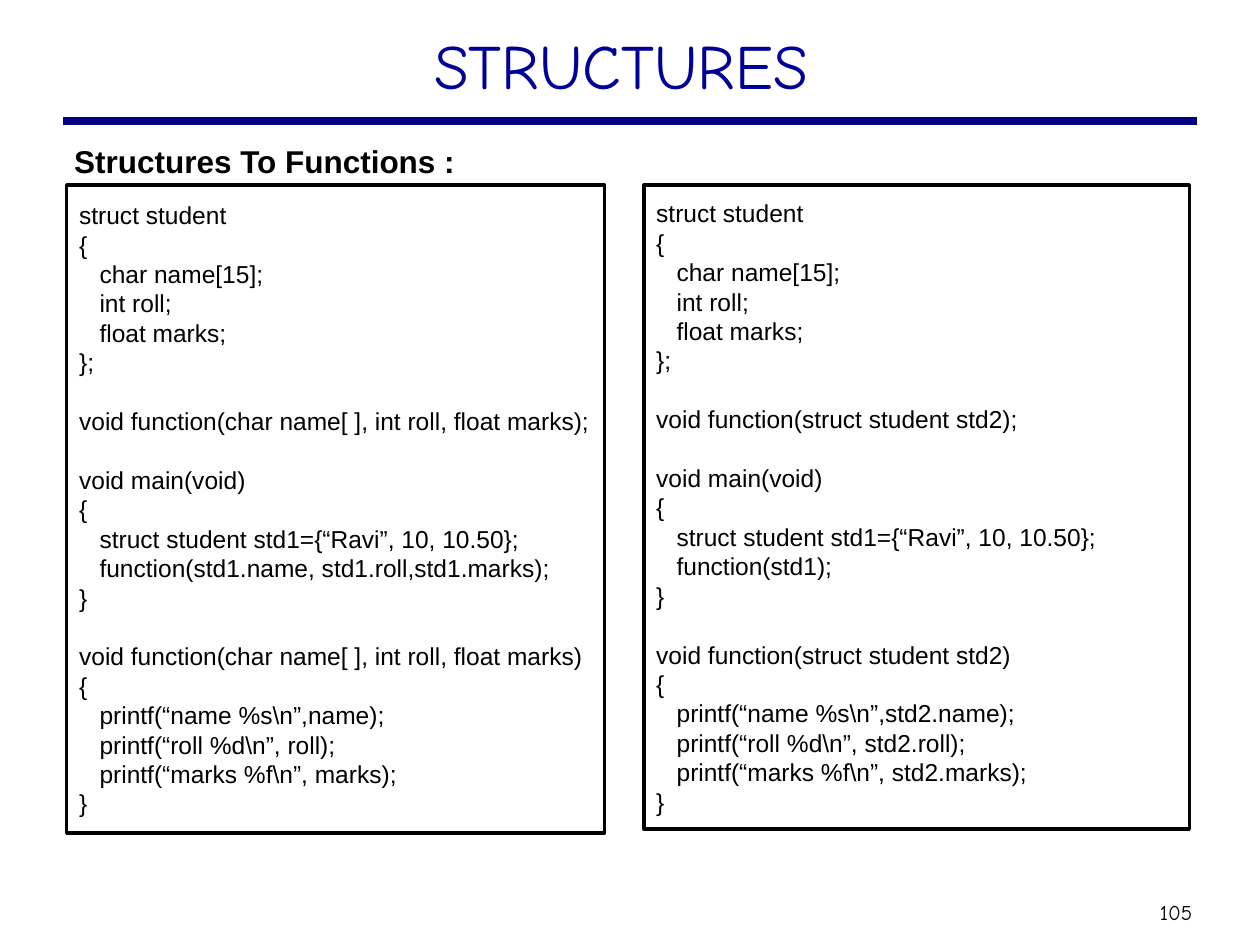
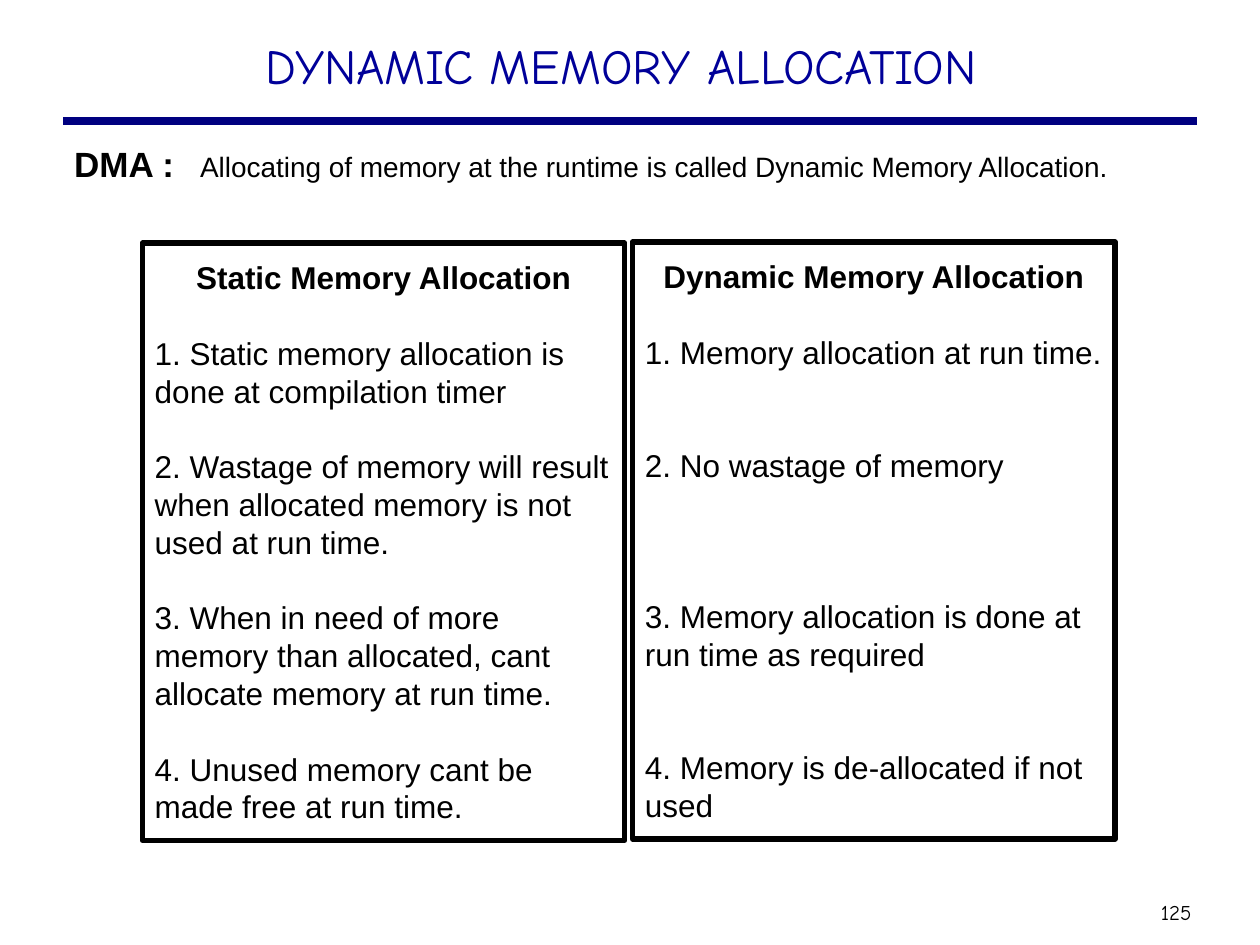
import pptx
import pptx.util
import pptx.dml.color
import pptx.enum.shapes
import pptx.enum.text
import lxml.etree

Inches, Pt = pptx.util.Inches, pptx.util.Pt
ALIGN, ANCHOR = pptx.enum.text.PP_ALIGN, pptx.enum.text.MSO_ANCHOR
RECT = pptx.enum.shapes.MSO_SHAPE.RECTANGLE
LINE = pptx.enum.shapes.MSO_CONNECTOR.STRAIGHT
NS = "{http://schemas.openxmlformats.org/drawingml/2006/main}"
BLACK, BLUE, NAVY = "000000", "000099", "000080"
BODY, HAND = "Arial", "Comic Neue"


def style(font, name, size, tint=BLACK, bold=False):
    font.name, font.size, font.bold = name, Pt(size), bold
    font.color.rgb = pptx.dml.color.RGBColor.from_string(tint)


def panel(slide, spot, rows, size, width, right=0.1):
    """Draw an outlined box; each row is its text and the empty lines above it."""
    box = slide.shapes.add_shape(RECT, *[Inches(n) for n in spot])
    box.shadow.inherit = False
    box.fill.background()
    box.line.color.rgb = pptx.dml.color.RGBColor.from_string(BLACK)
    box.line.width = Pt(width)
    frame = box.text_frame
    frame.word_wrap = True
    frame.vertical_anchor = ANCHOR.MIDDLE
    frame.margin_right = Inches(right)
    for i, (text, gap) in enumerate(rows):
        para = frame.paragraphs[0] if i == 0 else frame.add_paragraph()
        para.text = text
        para.alignment = ALIGN.LEFT
        para.line_spacing = Pt(size * 1.2)
        para.space_before = Pt(size * 1.2 * gap)
        style(para.font, BODY, size)
    return frame


deck = pptx.Presentation()
deck.slide_width, deck.slide_height = Inches(10), Inches(7.5)

# Shared frame: title, rule, page number, lead line
heads = [
    ("STRUCTURES", 36, 0.16, 0.76, "105", [("Structures To Functions :", 18, True)]),
    ("DYNAMIC MEMORY ALLOCATION", 28, 0.23, 0.65, "125",
     [("DMA :\t", 20, True),
      ("Allocating of memory at the runtime is called Dynamic Memory Allocation.",
       16, False)]),
]
slides = []
for name, size, top, high, page, lead in heads:
    slide = deck.slides.add_slide(deck.slide_layouts[5])
    slides.append(slide)

    title = slide.shapes.title
    title.left, title.top = Inches(0.68), Inches(top)
    title.width, title.height = Inches(8.5), Inches(high)
    frame = title.text_frame
    frame.text = name
    frame.auto_size = pptx.enum.text.MSO_AUTO_SIZE.NONE
    frame.vertical_anchor = ANCHOR.TOP
    frame.paragraphs[0].alignment = ALIGN.CENTER
    style(frame.paragraphs[0].font, HAND, size, BLUE)

    rule = slide.shapes.add_connector(
        LINE, Inches(0.5), Inches(0.96), Inches(9.5), Inches(0.96))
    rule.line.color.rgb = pptx.dml.color.RGBColor.from_string(NAVY)
    rule.line.width = Pt(4.5)
    lxml.etree.SubElement(rule._element.spPr, NS + "effectLst")

    foot = slide.shapes.add_textbox(
        Inches(9.1), Inches(7.09), Inches(0.47), Inches(0.3)).text_frame
    foot.margin_left = foot.margin_right = Inches(0.05)
    foot.word_wrap = True
    foot.vertical_anchor = ANCHOR.MIDDLE
    foot.text = page
    foot.paragraphs[0].alignment = ALIGN.CENTER
    style(foot.paragraphs[0].font, HAND, 12)

    text = slide.shapes.add_textbox(
        Inches(0.49), Inches(1.08), Inches(8.99), Inches(0.4)).text_frame
    text.word_wrap = True
    para = text.paragraphs[0]
    tabs = lxml.etree.SubElement(para._p.get_or_add_pPr(), NS + "tabLst")
    lxml.etree.SubElement(tabs, NS + "tab", pos=str(Inches(1)), algn="l")
    for words, size, bold in lead:
        run = para.add_run()
        run.text = words
        style(run.font, BODY, size, bold=bold)

# Slide 1: passing members against passing the whole structure
calls = [
    ((0.53, 1.47, 4.27, 5.14), "char name[ ], int roll, float marks",
     "std1.name, std1.roll,std1.marks", ""),
    ((5.11, 1.47, 4.33, 5.11), "struct student std2", "std1", "std2."),
]
for spot, params, args, owner in calls:
    code = f"""struct student
{{
   char name[15];
   int roll;
   float marks;
}};

void function({params});

void main(void)
{{
   struct student std1={{“Ravi”, 10, 10.50}};
   function({args});
}}

void function({params})
{{
   printf(“name %s\\n”,{owner}name);
   printf(“roll %d\\n”, {owner}roll);
   printf(“marks %f\\n”, {owner}marks);
}}"""
    rows = []
    for block in code.split("\n\n"):
        for i, line in enumerate(block.split("\n")):
            rows.append((line, 1 if rows and i == 0 else 0))
    panel(slides[0], spot, rows, 14, 2, right=0.05)

# Slide 2: static against dynamic allocation
kinds = [
    ((1.13, 1.93, 3.83, 4.74), [
        ("Static Memory Allocation", 0),
        ("1. Static memory allocation is done at compilation timer", 1),
        ("2. Wastage of memory will result when allocated memory is not used "
         "at run time.", 1),
        ("3. When in need of more memory than allocated, cant allocate memory "
         "at run time.", 1),
        ("4. Unused memory cant be made free at run time.", 1)]),
    ((5.02, 1.92, 3.83, 4.74), [
        ("Dynamic Memory Allocation", 0),
        ("1. Memory allocation at run time.", 1),
        ("2. No wastage of memory", 2),
        ("3. Memory allocation is done at run time as required", 3),
        ("4. Memory is de-allocated if not used", 2)]),
]
for spot, rows in kinds:
    head = panel(slides[1], spot, rows, 18, 3).paragraphs[0]
    head.alignment = ALIGN.CENTER
    head.font.bold = True

deck.save("out.pptx")
